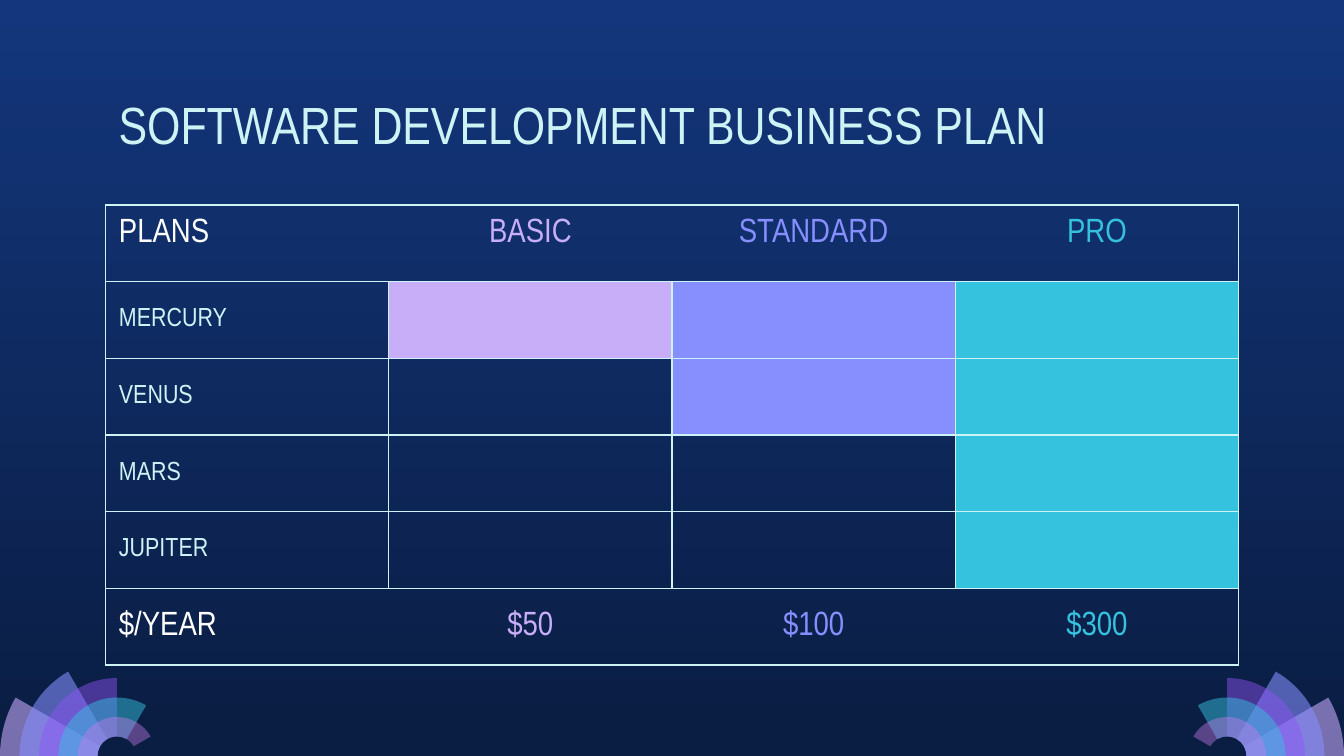
"""Build a pricing plan slide with a bordered table and fan ornaments."""
import dataclasses
import math

import pptx
import pptx.dml.color
import pptx.enum.text
import pptx.oxml
import pptx.oxml.ns
import pptx.util
from lxml import etree

SCALE = 4572
WIDE, HIGH = 2000, 1125
LEFT, SPAN = 157, 1686
RING = 29
ALIGN = pptx.enum.text.PP_ALIGN
ANCHOR = pptx.enum.text.MSO_ANCHOR


@dataclasses.dataclass(frozen=True)
class Theme:
    """Colours, font and type sizes of the slide."""
    face: str = "Arial Narrow"
    top: str = "13367C"
    base: str = "0A1D42"
    ice: str = "CEF3F5"
    white: str = "FFFFFF"
    tiers: tuple = ("C8AEF8", "878FFF", "35C2DF")
    fan: tuple = (("C8ACFD", 58), ("878FFF", 58), ("9154F8", 46),
                  ("35C2DF", 49), ("CA7BEB", 42))
    title: int = 28
    head: int = 18
    body: int = 14
    line: float = 0.75


THEME = Theme()
PLANS = ("BASIC", "STANDARD", "PRO")
PRICES = ("$50", "$100", "$300")
LEVELS = (("MERCURY", 0), ("VENUS", 1), ("MARS", 2), ("JUPITER", 2))


def px(num):
    """Turn px into EMU."""
    return pptx.util.Emu(round(num * SCALE))


def rgb(code):
    """Turn a hex code into a colour."""
    return pptx.dml.color.RGBColor.from_string(code)


def assign(item, **values):
    """Set each given attribute on an item."""
    for name, value in values.items():
        setattr(item, name, value)


def inset(item):
    """Give a cell or text frame equal margins."""
    sides = ("left", "right", "top", "bottom")
    assign(item, **{f"margin_{side}": px(20) for side in sides})


def write(frame, text, size, color, align=ALIGN.LEFT):
    """Write one styled run into a text frame."""
    para = frame.paragraphs[0]
    para.alignment = align
    run = para.add_run()
    run.text = text
    assign(run.font, name=THEME.face, size=pptx.util.Pt(size), bold=False)
    run.font.color.rgb = rgb(color)


def paint(slide):
    """Fill the background with a vertical gradient."""
    fill = slide.background.fill
    fill.gradient()
    fill.gradient_angle = 270
    for stop, code, place in zip(fill.gradient_stops, (THEME.top, THEME.base), (0, 1)):
        stop.color.rgb = rgb(code)
        stop.position = place


def arc(hub, flip, radius, sweep):
    """List the curve points of an arc that starts level with its hub."""
    def spot(turn, pull=0):
        across = math.cos(turn) - pull * math.sin(turn)
        up = math.sin(turn) + pull * math.cos(turn)
        return px(hub - flip * radius * across), px(HIGH - radius * up)

    points = [spot(0)]
    for start in range(0, sweep, 90):
        first, last = map(math.radians, (start, min(start + 90, sweep)))
        pull = 4 / 3 * math.tan((last - first) / 4)
        points += [spot(first, pull), spot(last, -pull), spot(last)]
    return points


def bend(petal):
    """Turn the lines of both arcs into curves, keeping the side between."""
    outline = next(petal.element.spPr.iter(pptx.oxml.ns.qn("a:path")))
    lines = list(outline.iter(pptx.oxml.ns.qn("a:lnTo")))
    del lines[len(lines) // 2]
    for trio in zip(*[iter(lines)] * 3):
        curve = etree.Element(pptx.oxml.ns.qn("a:cubicBezTo"))
        trio[0].addprevious(curve)
        for line in trio:
            curve.append(line[0])
            outline.remove(line)


def add_fan(slide, hub, flip):
    """Draw a fan of ring sectors, each smaller and wider than the last."""
    group = slide.shapes.add_group_shape()
    for rank, (code, alpha) in enumerate(THEME.fan):
        sweep = 30 * (rank + 1)
        outer = arc(hub, flip, RING * (6 - rank), sweep)
        inner = arc(hub, flip, RING, sweep)
        pen = group.shapes.build_freeform(*outer[0], scale=1.0)
        pen.add_line_segments(outer[1:] + inner[::-1], close=True)
        petal = pen.convert_to_shape()
        bend(petal)
        petal.shadow.inherit = False
        petal.line.fill.background()
        petal.fill.solid()
        petal.fill.fore_color.rgb = rgb(code)
        color = next(petal.element.spPr.iter(pptx.oxml.ns.qn("a:srgbClr")))
        etree.SubElement(color, pptx.oxml.ns.qn("a:alpha"), val=str(alpha * 1000))


def add_title(slide):
    """Add the slide heading."""
    box = slide.shapes.add_textbox(px(LEFT), px(118), px(SPAN), px(126))
    frame = box.text_frame
    frame.word_wrap = True
    inset(frame)
    write(frame, "SOFTWARE DEVELOPMENT BUSINESS PLAN", THEME.title, THEME.ice)


def edge(cell, sides):
    """Draw the named sides of a cell and hide the others."""
    props = cell._tc.get_or_add_tcPr()
    space = pptx.oxml.ns.nsdecls("a")
    width = pptx.util.Pt(THEME.line)
    for side in "LRTB":
        ink = (f'<a:solidFill><a:srgbClr val="{THEME.ice}"/></a:solidFill>'
               if side in sides else "<a:noFill/>")
        props.append(pptx.oxml.parse_xml(
            f'<a:ln{side} {space} w="{width}">{ink}</a:ln{side}>'))


def style(cell, sides, anchor, fill=None):
    """Set the borders, margins, anchor and fill of a cell."""
    edge(cell, sides)
    inset(cell)
    cell.vertical_anchor = anchor
    if fill:
        cell.fill.solid()
        cell.fill.fore_color.rgb = rgb(fill)
    else:
        cell.fill.background()


def add_band(table, row, label, texts, anchor):
    """Fill a heading or price row, open between its columns."""
    colors = (THEME.white, *THEME.tiers)
    for col, (text, color) in enumerate(zip((label, *texts), colors)):
        cell = table.cell(row, col)
        style(cell, "TB" + {0: "L", 3: "R"}.get(col, ""), anchor)
        align = ALIGN.CENTER if col else ALIGN.LEFT
        write(cell.text_frame, text, THEME.head, color, align)


def add_level(table, row, label, first):
    """Fill a level row, coloured from its first plan onward."""
    for col in range(4):
        tier = col - 1
        fill = THEME.tiers[tier] if tier >= first else None
        style(table.cell(row, col), "LRTB", ANCHOR.MIDDLE, fill)
    write(table.cell(row, 0).text_frame, label, THEME.body, THEME.ice)


def add_plans(slide):
    """Add the table of plans, levels and prices."""
    last = len(LEVELS) + 1
    frame = slide.shapes.add_table(last + 1, 4, px(LEFT), px(305), px(SPAN), px(685))
    table = frame.table
    assign(table, first_row=False, horz_banding=False)
    add_band(table, 0, "PLANS", PLANS, ANCHOR.TOP)
    for row, (label, first) in enumerate(LEVELS, 1):
        add_level(table, row, label, first)
    add_band(table, last, "$/YEAR", PRICES, ANCHOR.MIDDLE)


def main():
    """Build and save the slide."""
    deck = pptx.Presentation()
    assign(deck, slide_width=px(WIDE), slide_height=px(HIGH))
    slide = deck.slides.add_slide(deck.slide_layouts[6])
    paint(slide)
    add_fan(slide, 6 * RING, 1)
    add_fan(slide, WIDE - 6 * RING, -1)
    add_title(slide)
    add_plans(slide)
    deck.save("out.pptx")


if __name__ == "__main__":
    main()
